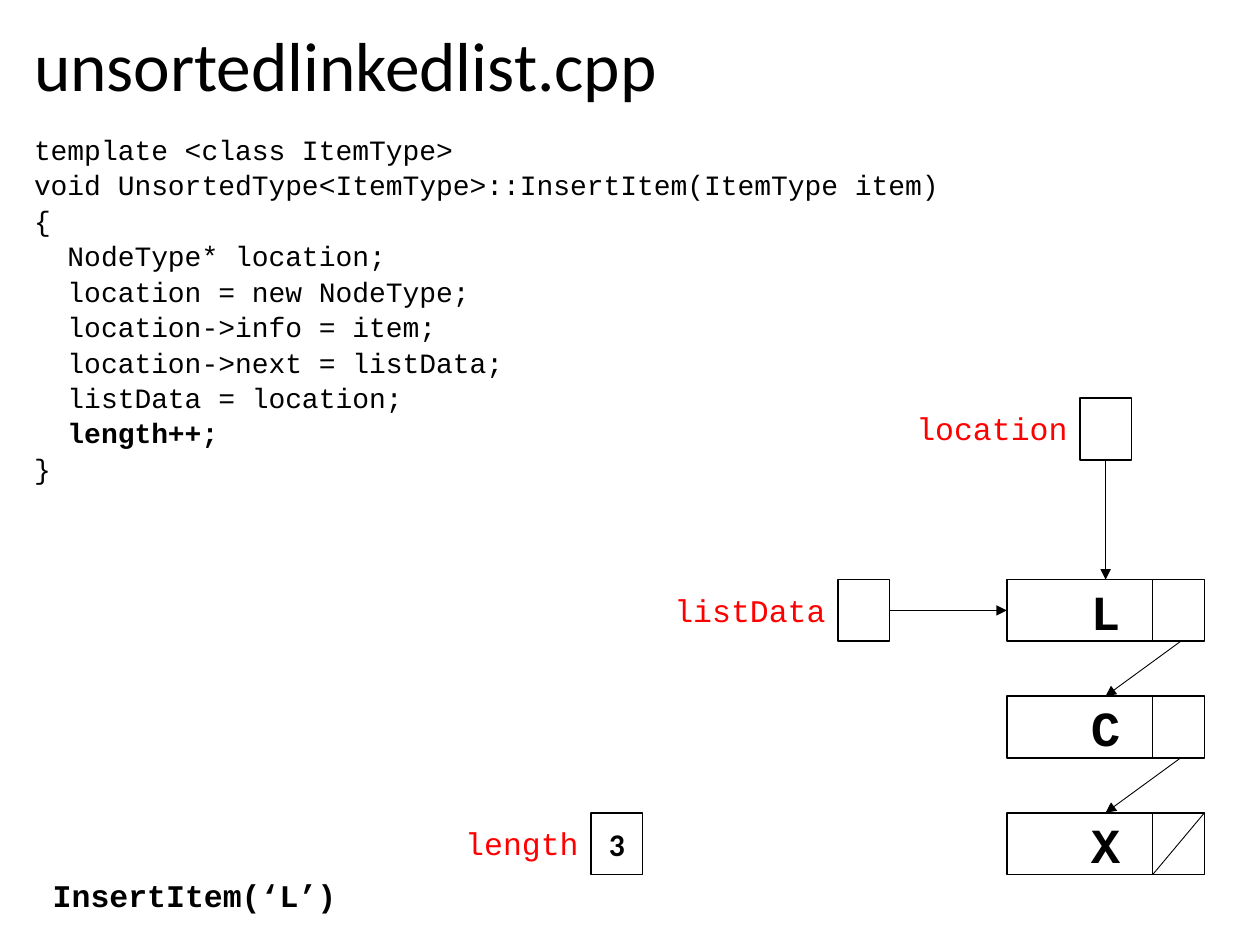
from dataclasses import dataclass
from lxml import etree
from pptx import Presentation
from pptx.dml.color import RGBColor
from pptx.enum.shapes import MSO_CONNECTOR, MSO_SHAPE
from pptx.enum.text import MSO_ANCHOR, MSO_AUTO_SIZE, PP_ALIGN
from pptx.oxml.ns import qn
from pptx.util import Pt

RECT = MSO_SHAPE.RECTANGLE
LINE = MSO_CONNECTOR.STRAIGHT
LEFT, MID, RIGHT = PP_ALIGN.LEFT, PP_ALIGN.CENTER, PP_ALIGN.RIGHT
CENTRE, TOP = MSO_ANCHOR.MIDDLE, MSO_ANCHOR.TOP
FIT, FIXED = MSO_AUTO_SIZE.SHAPE_TO_FIT_TEXT, MSO_AUTO_SIZE.NONE
NORTH, WEST, SOUTH, EAST = range(4)


@dataclass(frozen=True)
class Theme:
    ink: RGBColor = RGBColor(0, 0, 0)
    name: RGBColor = RGBColor(255, 0, 0)
    sans: str = "Calibri"
    mono: str = "Courier New"
    head: float = 39.6
    code: float = 16
    text: float = 18
    item: float = 28
    edge: float = 1
    thin: float = 0.5


THEME = Theme()
HIGH = 35.28
CELL = 29.52
NODE_X, NODE_Y, NODE_W = 575.28, 331.2, 113.04
STEP = 66.6
SPLIT = 83.5
LINK = 99.4
LABEL = 109.44

CODE = """template <class ItemType>
void UnsortedType<ItemType>::InsertItem(ItemType item)
{
  NodeType* location;
  location = new NodeType;
  location->info = item;
  location->next = listData;
  listData = location;
  length++;
}"""


def write(shape, text, size=THEME.text, font=THEME.mono, color=THEME.ink,
          bold=False, align=LEFT, anchor=TOP, fit=FIXED, space=None,
          lead=0, plain=False, strong=None):
    frame = shape.text_frame
    frame.word_wrap = True
    frame.auto_size = fit
    frame.vertical_anchor = anchor
    for i, line in enumerate(text.split("\n")):
        para = frame.add_paragraph() if i else frame.paragraphs[0]
        if plain:
            props = para._p.get_or_add_pPr()
            props.set("marL", "0")
            props.set("indent", "0")
            etree.SubElement(props, qn("a:buNone"))
        para.alignment = align
        para.line_spacing = space
        para.space_before = Pt(lead if i else 0)
        run = para.add_run()
        run.text = line
        run.font.size = Pt(size)
        run.font.name = font
        run.font.bold = bold or line == strong
        run.font.color.rgb = color


def place(shape, x, y, w, h):
    shape.left, shape.top, shape.width, shape.height = map(Pt, (x, y, w, h))
    return shape


def label(slide, text, x, y, w, **form):
    box = slide.shapes.add_textbox(Pt(x), Pt(y), Pt(w), Pt(28.8))
    write(box, text, fit=FIT, **form)


def rect(slide, x, y, w, text="", **form):
    box = slide.shapes.add_shape(RECT, Pt(x), Pt(y), Pt(w), Pt(HIGH))
    box.shadow.inherit = False
    box.fill.background()
    box.line.color.rgb = THEME.ink
    box.line.width = Pt(THEME.edge)
    if text:
        write(box, text, bold=True, align=MID, anchor=CENTRE, **form)
    return box


def line(slide, x1, y1, x2, y2, arrow=False):
    wire = slide.shapes.add_connector(LINE, Pt(x1), Pt(y1), Pt(x2), Pt(y2))
    wire.line.color.rgb = THEME.ink
    wire.line.width = Pt(THEME.thin)
    if arrow:
        tail = etree.SubElement(wire.line._get_or_add_ln(), qn("a:tailEnd"))
        tail.set("type", "triangle")
    etree.SubElement(wire._element.spPr, qn("a:effectLst"))
    return wire


def join(slide, box, out, node, side):
    wire = line(slide, 0, 0, 1, 1, arrow=True)
    wire.begin_connect(box, out)
    wire.end_connect(node, side)


def field(slide, name, x, y, value=""):
    box = rect(slide, x, y, CELL, value, font=THEME.sans)
    label(slide, name, x - LABEL, y + 2.88, LABEL,
          color=THEME.name, align=RIGHT)
    return box


def chain(slide, items):
    nodes = []
    for i, item in enumerate(items):
        y = NODE_Y + i * STEP
        node = rect(slide, NODE_X, y, NODE_W, item, size=THEME.item)
        line(slide, NODE_X + SPLIT, y, NODE_X + SPLIT, y + HIGH)
        if nodes:
            wire = line(slide, NODE_X + LINK, y - STEP + HIGH,
                        NODE_X + NODE_W / 2, y, arrow=True)
            wire.end_connect(node, NORTH)
        nodes.append(node)
    line(slide, NODE_X + NODE_W, y, NODE_X + SPLIT, y + HIGH)
    return nodes


def main():
    deck = Presentation()
    deck.slide_width, deck.slide_height = Pt(720), Pt(540)
    slide = deck.slides.add_slide(deck.slide_layouts[1])
    title, body = slide.placeholders
    write(place(title, 12.24, 12.96, 692.64, 53.28), "unsortedlinkedlist.cpp",
          size=THEME.head, font=THEME.sans, anchor=CENTRE, space=0.9)
    write(place(body, 12.24, 74.16, 692.64, 412.56), CODE, size=THEME.code,
          space=0.9, lead=3, plain=True, strong="  length++;")
    label(slide, "InsertItem(‘L’)", 23.04, 496.8, 180.72, bold=True)

    nodes = chain(slide, "LCX")
    field(slide, "length", 337.68, NODE_Y + 2 * STEP, "3")
    data = field(slide, "listData", 478.8, NODE_Y)
    spot = field(slide, "location", NODE_X + (NODE_W - CELL) / 2, 227.52)
    join(slide, data, EAST, nodes[0], WEST)
    join(slide, spot, SOUTH, nodes[0], NORTH)
    deck.save("out.pptx")


if __name__ == "__main__":
    main()
